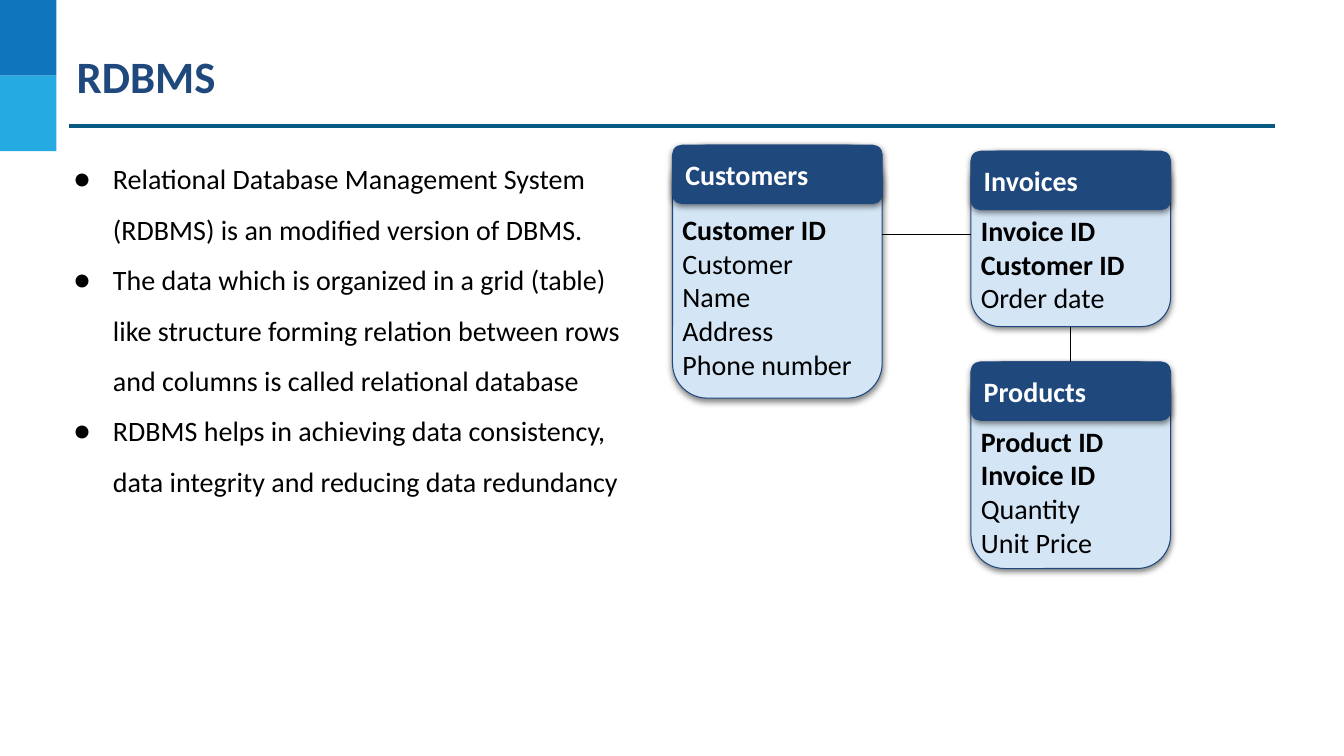
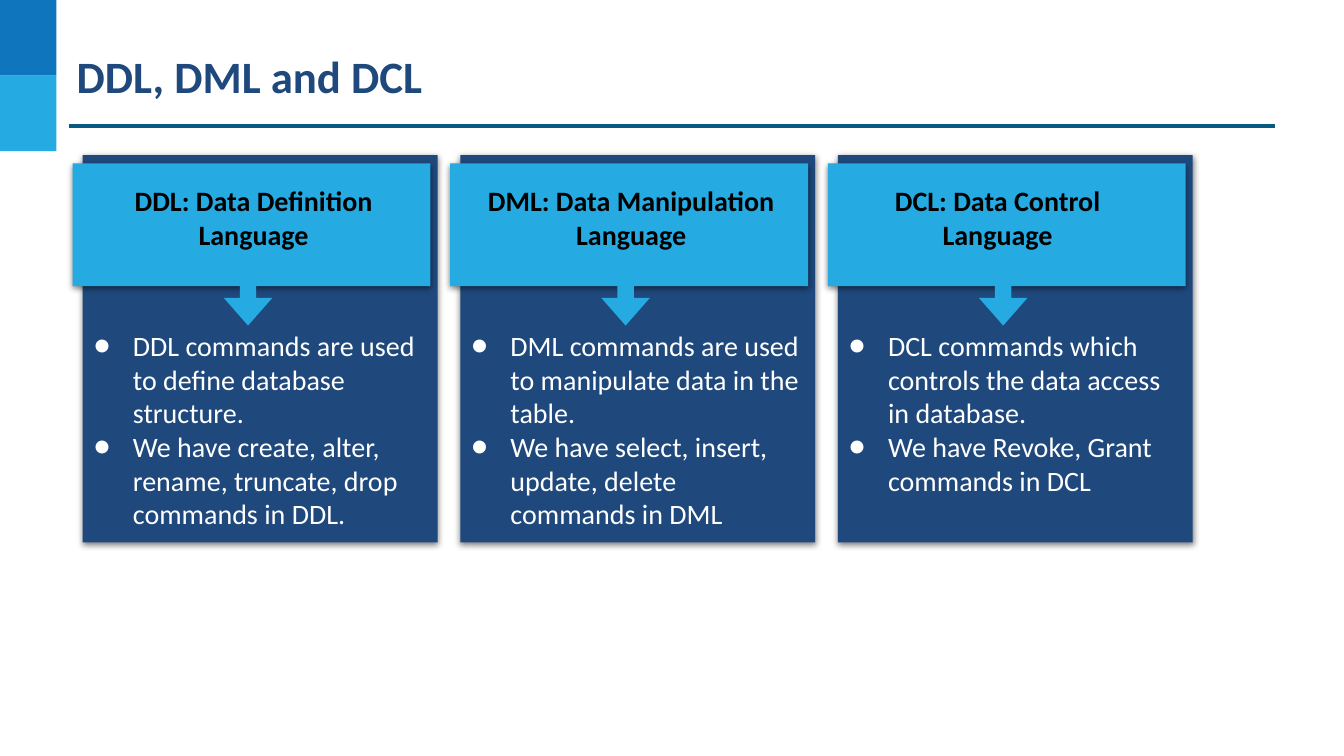
from dataclasses import dataclass

from lxml import etree
from pptx import Presentation
from pptx.dml.color import RGBColor
from pptx.enum.shapes import MSO_CONNECTOR, MSO_SHAPE
from pptx.enum.text import MSO_ANCHOR, MSO_AUTO_SIZE, PP_ALIGN
from pptx.oxml.ns import qn
from pptx.util import Inches, Pt

RECT = MSO_SHAPE.RECTANGLE
ROUNDED = MSO_SHAPE.ROUNDED_RECTANGLE
DOWN_ARROW = MSO_SHAPE.DOWN_ARROW
STRAIGHT = MSO_CONNECTOR.STRAIGHT
TOP, MIDDLE = MSO_ANCHOR.TOP, MSO_ANCHOR.MIDDLE
LEFT, CENTER = PP_ALIGN.LEFT, PP_ALIGN.CENTER
NO_FIT = MSO_AUTO_SIZE.NONE
TITLE_AND_CONTENT, TITLE_ONLY = 1, 5
TOP_SITE, BOTTOM_SITE = 0, 2


@dataclass(frozen=True)
class Theme:
    font: str = "Calibri"
    navy: str = "1F497D"
    blue: str = "0F75BD"
    sky: str = "25AAE2"
    pale: str = "D4E5F5"
    rule: str = "095A82"
    black: str = "000000"
    white: str = "FFFFFF"
    title_size: int = 32
    text_size: int = 20
    thin: float = 0.75
    thick: float = 2.25


THEME = Theme()

# Entity diagram: two columns of cards
HEADER_HEIGHT = 0.58
CUSTOMERS_LEFT, CUSTOMERS_WIDTH = 6.67, 2.08
ORDERS_LEFT, ORDERS_WIDTH = 9.63, 1.98

# Command cards: three equal columns
CARD_LEFT, CARD_TOP, CARD_WIDTH, CARD_HEIGHT = 0.82, 1.54, 3.52, 3.84
CARD_PITCH = 3.745

RDBMS_POINTS = [
    "Relational Database Management System (RDBMS) is an modified version of DBMS.",
    "The data which is organized in a grid (table) like structure forming "
    "relation between rows and columns is called relational database",
    "RDBMS helps in achieving data consistency, data integrity and reducing data redundancy",
]

# Heading, heading width, points
COMMAND_CARDS = [
    ("DDL: Data Definition Language", 3.45, [
        "DDL commands are used to define database structure.",
        "We have create, alter, rename, truncate, drop commands in DDL.",
    ]),
    ("DML: Data Manipulation Language", 3.45, [
        "DML commands are used to manipulate data in the table.",
        "We have select, insert, update, delete commands in DML",
    ]),
    ("DCL: Data Control Language", 3.23, [
        "DCL commands which controls the data access in database.",
        "We have Revoke, Grant commands in DCL",
    ]),
]


def inches(*lengths):
    return [Inches(length) for length in lengths]


def rgb(color):
    return RGBColor.from_string(color)


def place(shape, box):
    shape.left, shape.top, shape.width, shape.height = inches(*box)


def set_margins(frame, margin):
    frame.margin_left = frame.margin_right = Inches(margin)
    frame.margin_top = frame.margin_bottom = Inches(margin)


def add_span(para, text, color, size=THEME.text_size, bold=False):
    span = para.add_run()
    span.text = text
    span.font.name = THEME.font
    span.font.size = Pt(size)
    span.font.bold = bold
    span.font.color.rgb = rgb(color)


def add_bullet(para, color):
    props = para._p.get_or_add_pPr()
    props.set("marL", str(Inches(0.5)))
    props.set("indent", str(Inches(-0.39)))
    bullet_color = etree.SubElement(props, qn("a:buClr"))
    etree.SubElement(bullet_color, qn("a:srgbClr"), val=color)
    etree.SubElement(props, qn("a:buFont"), typeface=THEME.font)
    etree.SubElement(props, qn("a:buChar"), char="●")


def fill_frame(frame, lines, color, bold_lines=0, align=LEFT, anchor=TOP,
               bullets=False, spacing=1.0):
    """Write one paragraph per line; the first bold_lines of them are bold."""
    frame.word_wrap = True
    frame.auto_size = NO_FIT
    frame.vertical_anchor = anchor
    set_margins(frame, 0.1)
    for number, line in enumerate(lines):
        para = frame.add_paragraph() if number else frame.paragraphs[0]
        para.alignment = align
        para.line_spacing = spacing
        para.space_before = Pt(0)
        if bullets:
            add_bullet(para, color)
        add_span(para, line, color, bold=number < bold_lines)


def add_text(page, box, lines, color, **style):
    text_box = page.shapes.add_textbox(*inches(*box))
    fill_frame(text_box.text_frame, lines, color, **style)


def add_shadow(shape):
    effects = shape.element.spPr.find(qn("a:effectLst"))
    shadow = etree.SubElement(effects, qn("a:outerShdw"), blurRad=str(Pt(4.5)),
                              dist=str(Pt(1.5)), dir="5400000", rotWithShape="0")
    tint = etree.SubElement(shadow, qn("a:srgbClr"), val=THEME.black)
    etree.SubElement(tint, qn("a:alpha"), val="50000")


def add_block(page, kind, box, fill, outline=None, shadow=False):
    block = page.shapes.add_shape(kind, *inches(*box))
    block.fill.solid()
    block.fill.fore_color.rgb = rgb(fill)
    if outline:
        block.line.color.rgb = rgb(outline)
        block.line.width = Pt(THEME.thin)
    else:
        block.line.fill.background()
    block.shadow.inherit = False
    if shadow:
        add_shadow(block)
    return block


def add_line(page, start, end, color, width):
    line = page.shapes.add_connector(STRAIGHT, *inches(*start, *end))
    line.line.color.rgb = rgb(color)
    line.line.width = Pt(width)
    etree.SubElement(line.element.spPr, qn("a:effectLst"))
    return line


def build_master(deck, page):
    """Place the title and move the bands, drawn on the page, to the master."""
    master = deck.slide_master
    title = master.placeholders[0]
    place(title, (0.74, 0.46, 11.97, 0.58))
    set_margins(title.text_frame, 0.02)
    decorations = [
        add_block(page, RECT, (0, 0, 0.56, 0.75), THEME.blue),
        add_block(page, RECT, (0, 0.75, 0.56, 0.75), THEME.sky),
        add_line(page, (0.68, 1.25), (12.65, 1.25), THEME.rule, THEME.thick),
    ]
    for number, shape in enumerate(decorations, start=20):
        shape.element.xpath(".//p:cNvPr")[0].set("id", str(number))
        master.shapes.element.append(shape.element)


def add_page(deck, layout, title):
    page = deck.slides.add_slide(deck.slide_layouts[layout])
    para = page.shapes.title.text_frame.paragraphs[0]
    para.alignment = LEFT
    add_span(para, title, THEME.navy, THEME.title_size, bold=True)
    return page


def add_entity(page, box, name, fields, keys, drop=0.52):
    """Draw an entity card whose first fields are keys; return card and header."""
    left, top, width, height = box
    card = add_block(page, ROUNDED, box, THEME.pale, THEME.navy, shadow=True)
    header = add_block(page, ROUNDED, (left, top, width, HEADER_HEIGHT),
                       THEME.navy, THEME.navy, shadow=True)
    fill_frame(header.text_frame, [name], THEME.white, bold_lines=1, anchor=MIDDLE)
    add_text(page, (left, top + drop, width - 0.18, height - drop), fields,
             THEME.black, bold_lines=keys)
    return card, header


def add_command_card(page, column, heading, heading_width, points):
    left = CARD_LEFT + column * CARD_PITCH
    add_block(page, RECT, (left, CARD_TOP, CARD_WIDTH, CARD_HEIGHT),
              THEME.navy, shadow=True)
    add_block(page, RECT, (left - 0.1, CARD_TOP + 0.08, 3.55, 1.22),
              THEME.sky, shadow=True)
    arrow = add_block(page, DOWN_ARROW, (left + 1.4, 2.71, 0.48, 0.52), THEME.sky)
    arrow.adjustments[0], arrow.adjustments[1] = 0.34, 0.57
    add_text(page, (left - 0.03, 1.72, heading_width, 0.88), [heading],
             THEME.black, bold_lines=1, align=CENTER)
    add_text(page, (left - 0.1, 3.16, 3.63, 2.22), points, THEME.white, bullets=True)


def build_rdbms(page):
    body = page.placeholders[1]
    place(body, (0.52, 1.34, 5.98, 4.07))
    fill_frame(body.text_frame, RDBMS_POINTS, THEME.black, bullets=True, spacing=1.5)

    add_entity(page, (CUSTOMERS_LEFT, 1.44, CUSTOMERS_WIDTH, 2.51), "Customers",
               ["Customer ID", "Customer Name", "Address", "Phone number"],
               keys=1, drop=0.57)
    invoices, _ = add_entity(page, (ORDERS_LEFT, 1.5, ORDERS_WIDTH, 1.74), "Invoices",
                             ["Invoice ID", "Customer ID", "Order date"], keys=2)
    _, products = add_entity(page, (ORDERS_LEFT, 3.59, ORDERS_WIDTH, 2.05), "Products",
                             ["Product ID", "Invoice ID", "Quantity", "Unit Price"],
                             keys=2)

    add_line(page, (CUSTOMERS_LEFT + CUSTOMERS_WIDTH, 2.33), (ORDERS_LEFT, 2.33),
             THEME.black, THEME.thin)
    link = add_line(page, (0, 0), (0, 0), THEME.black, THEME.thin)
    link.begin_connect(products, TOP_SITE)
    link.end_connect(invoices, BOTTOM_SITE)


def main():
    deck = Presentation()
    deck.slide_width, deck.slide_height = inches(13.33, 7.5)

    rdbms = add_page(deck, TITLE_AND_CONTENT, "RDBMS")
    build_master(deck, rdbms)
    build_rdbms(rdbms)

    commands = add_page(deck, TITLE_ONLY, "DDL, DML and DCL")
    for column, card in enumerate(COMMAND_CARDS):
        add_command_card(commands, column, *card)

    deck.save("out.pptx")


if __name__ == "__main__":
    main()
